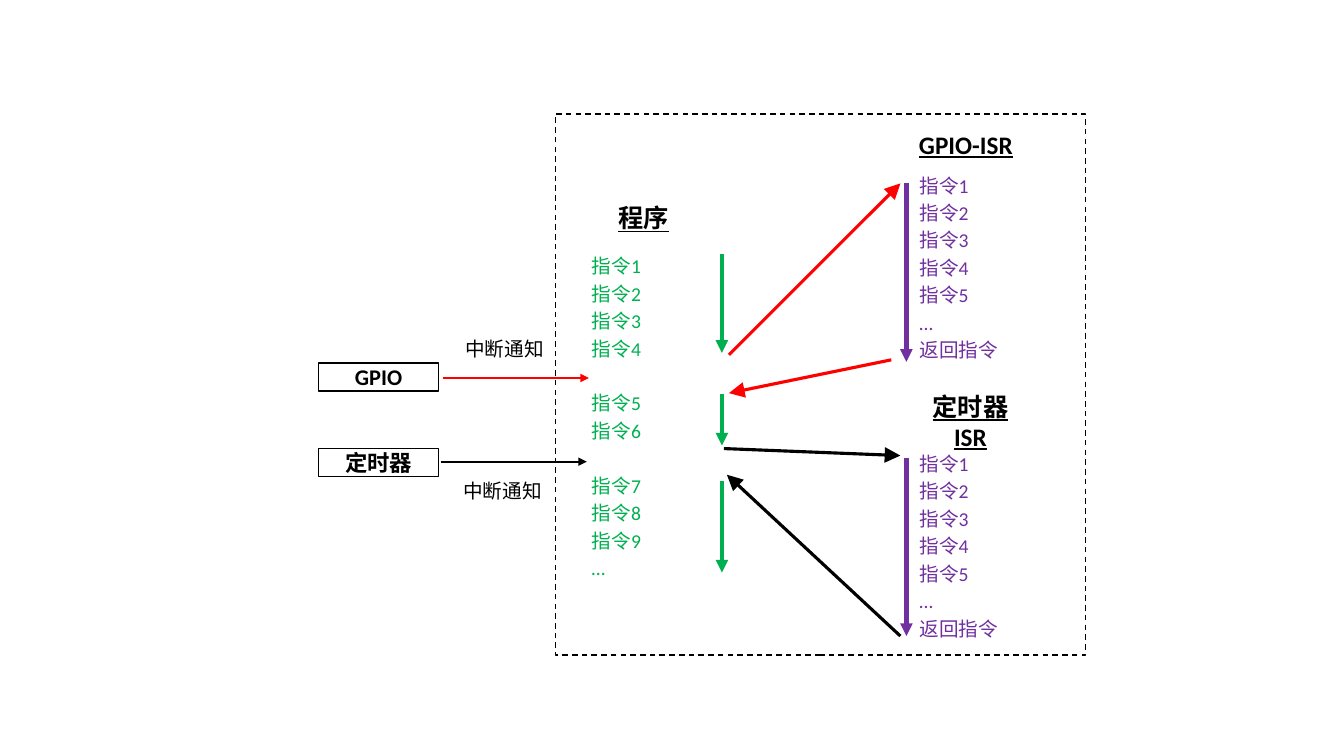
from dataclasses import dataclass

from lxml import etree
from pptx import Presentation
from pptx import util as u
from pptx.dml.color import RGBColor
from pptx.enum import dml, shapes, text
from pptx.oxml import ns


@dataclass(frozen=True)
class Theme:
    font: str = "Calibri"
    black: str = "000000"
    red: str = "FF0000"
    green: str = "00B050"
    purple: str = "7030A0"
    title: float = 18
    device: float = 16
    body: float = 14
    paragraph_gap: float = 2.8
    interrupt_gap: float = 22.4
    outline: float = 1
    notice: float = 1.5
    jump: float = 2.25
    execution: float = 3


THEME = Theme()


@dataclass(frozen=True)
class Box:
    left: float
    top: float
    width: float
    height: float


@dataclass(frozen=True)
class Label:
    box: Box
    lines: tuple[str, ...]
    size: float = THEME.body
    color: str = THEME.black
    emphasis: bool = False
    centered: bool = True
    after_interrupt: tuple[str, ...] = ()


@dataclass(frozen=True)
class Arrow:
    start: tuple[float, float]
    end: tuple[float, float]
    color: str
    weight: float
    head: str = "med"


def title(box: Box, caption: str) -> Label:
    return Label(box, (caption,), THEME.title, emphasis=True)


def notice(left: float, top: float) -> Label:
    return Label(Box(left, top, 1.13, 0.57), ("中断通知",))


def instructions(first: int, last: int) -> tuple[str, ...]:
    return tuple(f"指令{number}" for number in range(first, last + 1))


def service_routine(top: float) -> Label:
    lines = (*instructions(1, 5), "…", "返回指令")
    return Label(Box(9.02, top, 1.65, 2.03), lines, color=THEME.purple, centered=False)


def execution(x: float, top: float, bottom: float, color: str) -> Arrow:
    return Arrow((x, top), (x, bottom), color, THEME.execution)


def jump(start: tuple[float, float], end: tuple[float, float], color: str) -> Arrow:
    return Arrow(start, end, color, THEME.jump, "lg")


PROGRAM = Box(5.51, 1.13, 5.26, 5.37)

LABELS = (
    Label(Box(5.77, 2.41, 1.21, 3.45), (*instructions(1, 9), "…"), color=THEME.green,
          centered=False, after_interrupt=("指令5", "指令7")),
    service_routine(1.64),
    service_routine(4.4),
    title(Box(5.72, 1.96, 1.32, 0.4), "程序"),
    title(Box(9.01, 1.23, 1.14, 0.4), "GPIO-ISR"),
    title(Box(9.02, 3.98, 1.21, 0.4), "定时器ISR"),
    notice(4.44, 3.17),
    notice(4.42, 4.58),
)

DEVICES = (("GPIO", 3.6), ("定时器", 4.45))

ARROWS = (
    execution(7.16, 2.52, 3.5, THEME.green),
    execution(7.16, 3.91, 4.42, THEME.green),
    execution(7.16, 4.77, 5.68, THEME.green),
    execution(8.99, 1.82, 3.59, THEME.purple),
    execution(8.99, 4.54, 6.31, THEME.purple),
    jump((7.23, 3.52), (8.93, 1.82), THEME.red),
    jump((8.84, 3.57), (7.23, 3.9), THEME.red),
    jump((7.18, 4.45), (8.93, 4.52), THEME.black),
    jump((8.93, 6.31), (7.21, 4.71), THEME.black),
    Arrow((4.39, 3.75), (5.84, 3.75), THEME.red, THEME.notice),
    Arrow((4.37, 4.58), (5.82, 4.58), THEME.black, THEME.notice),
)


def place(box: Box) -> tuple[u.Length, ...]:
    return tuple(u.Inches(value) for value in (box.left, box.top, box.width, box.height))


def apply_format(target, values: dict) -> None:
    for name, value in values.items():
        setattr(target, name, value)


def format_font(font, size: float, color: str, bold: bool, underline: bool) -> None:
    apply_format(font, {"name": THEME.font, "size": u.Pt(size), "bold": bold, "underline": underline})
    font.color.rgb = RGBColor.from_string(color)


def add_label(slide, label: Label) -> None:
    frame = slide.shapes.add_textbox(*place(label.box)).text_frame
    apply_format(frame, {"word_wrap": True, "vertical_anchor": text.MSO_ANCHOR.MIDDLE})
    for index, line in enumerate(label.lines):
        paragraph = frame.add_paragraph() if index else frame.paragraphs[0]
        paragraph.text = line
        paragraph.alignment = text.PP_ALIGN.CENTER if label.centered else text.PP_ALIGN.LEFT
        if index:
            gap = THEME.interrupt_gap if line in label.after_interrupt else THEME.paragraph_gap
            paragraph.space_before = u.Pt(gap)
        format_font(paragraph.runs[0].font, label.size, label.color, label.emphasis, label.emphasis)


def add_outline(slide, box: Box):
    shape = slide.shapes.add_shape(shapes.MSO_SHAPE.RECTANGLE, *place(box))
    shape.shadow.inherit = False
    shape.fill.background()
    shape.line.color.rgb = RGBColor.from_string(THEME.black)
    shape.line.width = u.Pt(THEME.outline)
    return shape


def add_device(slide, name: str, top: float) -> None:
    frame = add_outline(slide, Box(3.16, top, 1.19, 0.28)).text_frame
    frame.vertical_anchor = text.MSO_ANCHOR.MIDDLE
    paragraph = frame.paragraphs[0]
    paragraph.text = name
    paragraph.alignment = text.PP_ALIGN.CENTER
    format_font(paragraph.runs[0].font, THEME.device, THEME.black, True, False)


def add_arrow(slide, arrow: Arrow) -> None:
    ends = (u.Inches(value) for value in (*arrow.start, *arrow.end))
    connector = slide.shapes.add_connector(shapes.MSO_CONNECTOR.STRAIGHT, *ends)
    connector.line.color.rgb = RGBColor.from_string(arrow.color)
    connector.line.width = u.Pt(arrow.weight)
    properties = connector.element.spPr
    etree.SubElement(properties.find(ns.qn("a:ln")), ns.qn("a:tailEnd"),
                     type="triangle", w=arrow.head, len=arrow.head)
    etree.SubElement(properties, ns.qn("a:effectLst"))


def main() -> None:
    presentation = Presentation()
    apply_format(presentation, {"slide_width": u.Inches(13.33), "slide_height": u.Inches(7.5)})
    slide = presentation.slides.add_slide(presentation.slide_layouts[6])
    add_outline(slide, PROGRAM).line.dash_style = dml.MSO_LINE.DASH
    for label in LABELS:
        add_label(slide, label)
    for name, top in DEVICES:
        add_device(slide, name, top)
    for arrow in ARROWS:
        add_arrow(slide, arrow)
    presentation.save("out.pptx")


if __name__ == "__main__":
    main()
